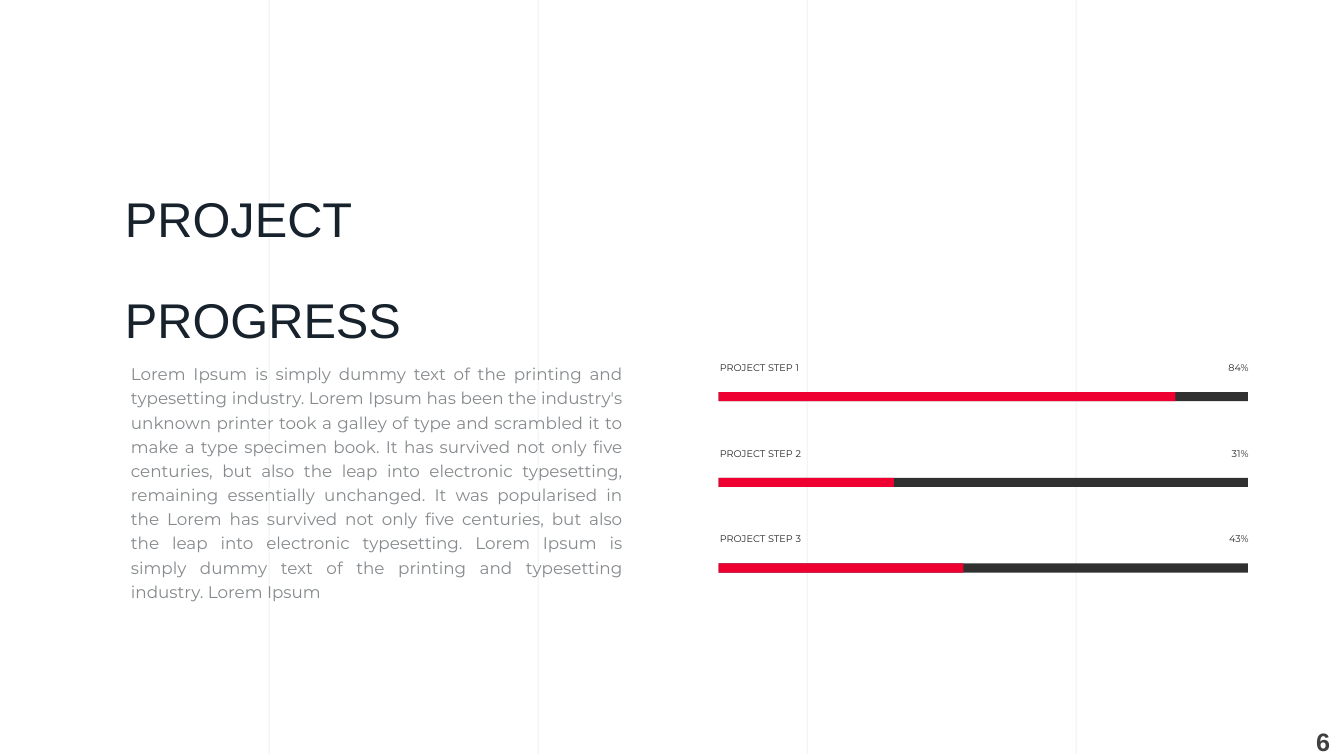
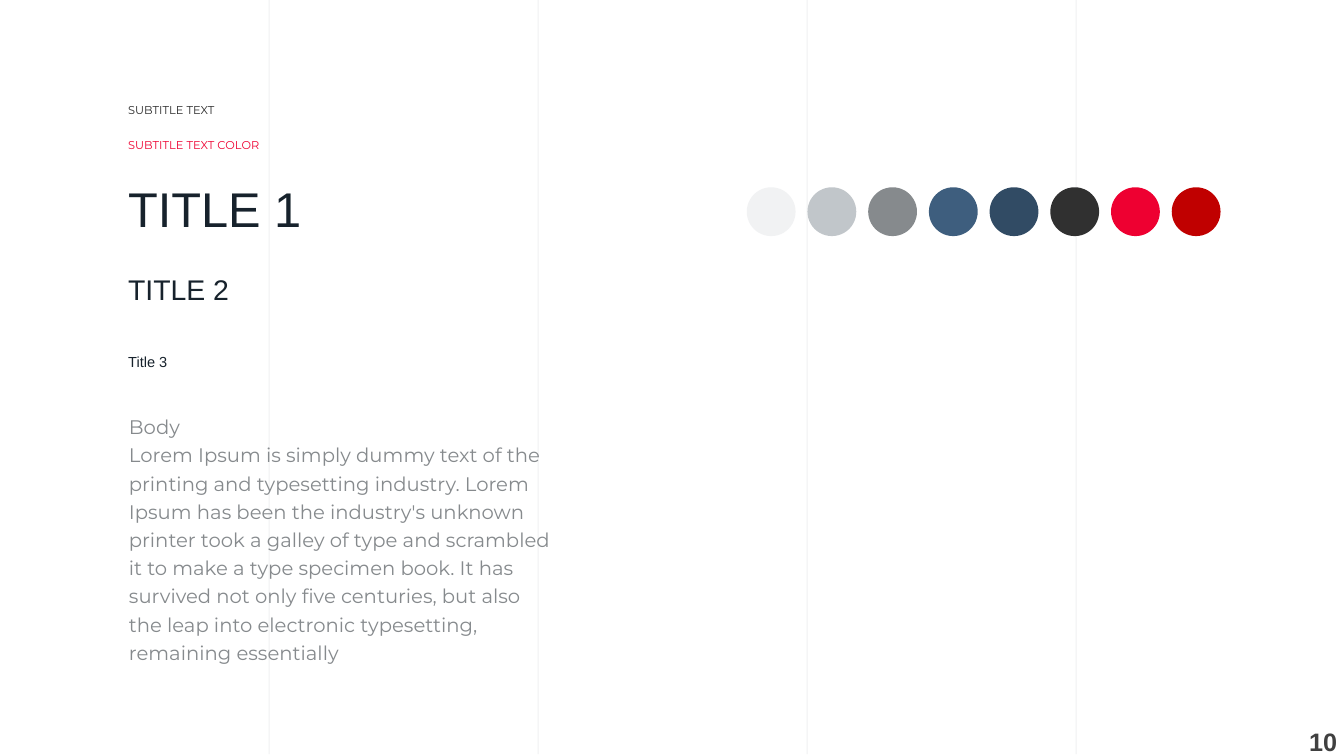
"""Build a project progress slide and a style guide slide."""
from dataclasses import dataclass

from lxml.etree import SubElement
from pptx import Presentation
from pptx.dml.color import RGBColor
from pptx.enum.shapes import MSO_CONNECTOR, MSO_SHAPE
from pptx.enum.text import MSO_ANCHOR, MSO_AUTO_SIZE, PP_ALIGN
from pptx.oxml.ns import qn
from pptx.util import Cm, Pt


@dataclass(frozen=True)
class Style:
    font: str
    size: int
    color: str
    raised: int = 0
    bold: bool = False
    spacing: float = 1.0


@dataclass(frozen=True)
class Theme:
    guide: str = "3C4C5B"
    track: str = "303030"
    accent: str = "EE0031"
    swatches: tuple = ("F1F2F3", "C1C6CA", "868A8D", "3E5E7E",
                       "314B64", "303030", "EE0031", "C00000")
    title: Style = Style("Arial", 60, "17222C", 12)
    title_tight: Style = Style("Arial", 60, "17222C", 12, spacing=0.8)
    title_2: Style = Style("Arial", 35, "17222C", 17, spacing=0.8)
    title_3: Style = Style("Arial", 18, "17222C", 33, spacing=0.8)
    subtitle: Style = Style("Montserrat", 14, "282828", 50)
    subtitle_accent: Style = Style("Montserrat", 14, "EE0031", 50)
    label: Style = Style("Montserrat", 12, "282828", 50, spacing=0.7)
    body: Style = Style("Montserrat", 12, "868A8D", spacing=1.2)
    body_large: Style = Style("Montserrat", 14, "868A8D", spacing=1.2)
    number: Style = Style("Arial", 18, "404040", bold=True)


def write(box, place, lines, style, align=PP_ALIGN.LEFT, inset=0.08, grow=True):
    box.left, box.top, box.width, box.height = map(Cm, place)
    frame = box.text_frame
    frame.word_wrap = True
    frame.auto_size = MSO_AUTO_SIZE.SHAPE_TO_FIT_TEXT if grow else MSO_AUTO_SIZE.NONE
    frame.vertical_anchor = MSO_ANCHOR.MIDDLE
    frame.margin_left = frame.margin_right = Cm(inset)
    frame.margin_top = frame.margin_bottom = Cm(inset)
    for index, line in enumerate(lines):
        paragraph = frame.add_paragraph() if index else frame.paragraphs[0]
        paragraph.alignment = align
        paragraph.line_spacing = style.spacing
        run = paragraph.add_run()
        run.text = line
        run.font.name = style.font
        run.font.size = Pt(style.size)
        run.font.bold = style.bold
        run.font.color.rgb = RGBColor.from_string(style.color)
        if style.raised:
            run.font._element.set("baseline", str(style.raised * 1000))
    return frame


def paint(shapes, outline, place, color):
    shape = shapes.add_shape(outline, *map(Cm, place))
    shape.shadow.inherit = False
    shape.fill.solid()
    shape.fill.fore_color.rgb = RGBColor.from_string(color)
    shape.line.fill.background()


theme = Theme()
deck = Presentation()
deck.slide_width, deck.slide_height = Cm(33.87), Cm(19.05)
layout = deck.slide_layouts[5]
progress = deck.slides.add_slide(layout)
styles = deck.slides.add_slide(layout)

for column in range(1, 5):
    x = Cm(6.78 * column)
    guide = progress.shapes.add_connector(MSO_CONNECTOR.STRAIGHT, x, Cm(19), x, Cm(0))
    guide.line.width = Pt(0.75)
    guide.line.color.rgb = RGBColor.from_string(theme.guide)
    tint = guide.element.find(".//" + qn("a:srgbClr"))
    SubElement(tint, qn("a:alpha")).set("val", "8000")
    SubElement(guide.element.spPr, qn("a:effectLst"))
    guide.element.nvCxnSpPr.cNvPr.set("id", str(100 + column))
    layout.shapes.element.append(guide.element)

for slide, number in ((progress, "6"), (styles, "10")):
    write(slide.shapes.add_textbox(0, 0, 0, 0), (32.61, 18.36, 1.47, 0.64),
          [number], theme.number, PP_ALIGN.CENTER, inset=0, grow=False)

write(progress.shapes.title, (3.07, 4.88, 13.82, 3.56), ["PROJECT", "PROGRESS"], theme.title)
summary = write(
    progress.shapes.add_textbox(0, 0, 0, 0), (3.25, 9.02, 12.5, 6.02),
    ["Lorem Ipsum is simply dummy text of the printing and typesetting industry. "
     "Lorem Ipsum has been the industry's unknown printer took a galley of type and "
     "scrambled it to make a type specimen book. It has survived not only five centuries, "
     "but also the leap into electronic typesetting, remaining essentially unchanged. "
     "It was popularised in the Lorem has survived not only five centuries, but also the "
     "leap into electronic typesetting. Lorem Ipsum is simply dummy text of the printing "
     "and typesetting industry. Lorem Ipsum"],
    theme.body, PP_ALIGN.JUSTIFY, inset=0.05, grow=False)
summary.vertical_anchor = MSO_ANCHOR.TOP

steps = (("PROJECT STEP 1", "84%", 11.51),
         ("PROJECT STEP 2", "31%", 4.42),
         ("PROJECT STEP 3", "43%", 6.17))
for row, (step, share, done) in enumerate(steps):
    label_top = 9.27 + 2.16 * row
    bar_top = label_top + 0.61
    meter = progress.shapes.add_group_shape().shapes
    paint(meter, MSO_SHAPE.RECTANGLE, (18.11, bar_top, 13.34, 0.23), theme.track)
    paint(meter, MSO_SHAPE.RECTANGLE, (18.11, bar_top, done, 0.23), theme.accent)
    for text, left, width, align in ((step, 18.06, 4.78, PP_ALIGN.LEFT),
                                     (share, 28.3, 3.25, PP_ALIGN.RIGHT)):
        place = (left, label_top, width, 0.38)
        write(meter.add_textbox(*map(Cm, place)), place, [text], theme.label, align)

write(styles.shapes.title, (3.15, 4.62, 9.68, 1.5), ["TITLE 1"], theme.title_tight)
samples = (("SUBTITLE TEXT", 2.64, 10.41, 0.53, theme.subtitle),
           ("SUBTITLE TEXT COLOR", 3.53, 10.41, 0.53, theme.subtitle_accent),
           ("TITLE 2", 6.96, 8.28, 0.94, theme.title_2),
           ("Title 3", 9.02, 8.28, 0.56, theme.title_3))
for text, top, width, height, style in samples:
    write(styles.shapes.add_textbox(0, 0, 0, 0), (3.15, top, width, height), [text], style)

body_sample = write(
    styles.shapes.add_textbox(0, 0, 0, 0), (3.2, 10.29, 10.85, 4.85),
    ["Body",
     "Lorem Ipsum is simply dummy text of the printing and typesetting industry. "
     "Lorem Ipsum has been the industry's unknown printer took a galley of type and "
     "scrambled it to make a type specimen book. It has survived not only five centuries, "
     "but also the leap into electronic typesetting, remaining essentially"],
    theme.body_large, inset=0.05, grow=False)
body_sample.vertical_anchor = MSO_ANCHOR.TOP

palette = styles.shapes.add_group_shape().shapes
for position, color in enumerate(theme.swatches):
    paint(palette, MSO_SHAPE.OVAL, (18.82 + 1.53 * position, 4.72, 1.23, 1.23), color)

deck.save("out.pptx")
